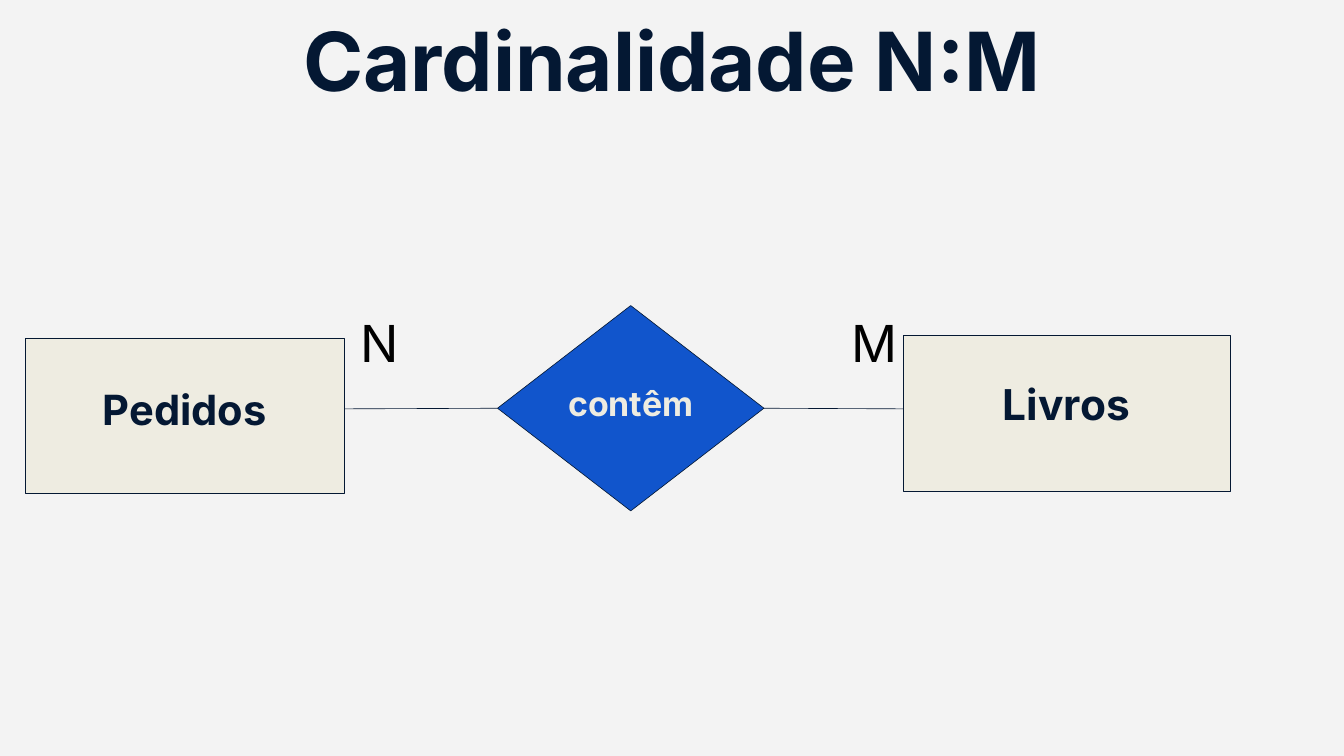
from lxml.etree import SubElement
from pptx import Presentation
from pptx.dml.color import RGBColor
from pptx.enum.shapes import MSO_CONNECTOR as Connector, MSO_SHAPE as Shape
from pptx.enum.text import MSO_AUTO_SIZE as AutoSize, PP_ALIGN as Align
from pptx.oxml.ns import qn
from pptx.util import Inches, Pt

NAVY, CREAM, BLUE, BLACK, GREY = "041833", "EEECE1", "1155CC", "000000", "F3F3F3"
WIDTH, HEIGHT = 21.99, 12.37
LEFT_SIDE, RIGHT_SIDE = 1, 3


def color(value):
    return RGBColor.from_string(value)


class Diagram:
    """Holds the style and the current slide."""
    font = "Inter"
    line_width = Pt(0.75)
    inset = Inches(0.1)

    def __init__(self, page):
        self.page = page
        page.background.fill.solid()
        page.background.fill.fore_color.rgb = color(GREY)

    def outline(self, item):
        item.line.color.rgb = color(NAVY)
        item.line.width = self.line_width

    def shape(self, kind, place, fill):
        item = self.page.shapes.add_shape(kind, *map(Inches, place))
        item.shadow.inherit = False
        item.fill.solid()
        item.fill.fore_color.rgb = color(fill)
        self.outline(item)
        return item

    def text(self, words, place, size, ink=NAVY, bold=True, align=Align.CENTER):
        box = self.page.shapes.add_textbox(*map(Inches, place))
        frame = box.text_frame
        settings = {"word_wrap": True, "auto_size": AutoSize.SHAPE_TO_FIT_TEXT}
        for side in ("left", "top", "right", "bottom"):
            settings[f"margin_{side}"] = self.inset
        for name, value in settings.items():
            setattr(frame, name, value)
        para = frame.paragraphs[0]
        para.alignment = align
        span = para.add_run()
        span.text = words
        for name, value in {"name": self.font, "size": Pt(size), "bold": bold}.items():
            setattr(span.font, name, value)
        span.font.color.rgb = color(ink)

    def connector(self, start, end):
        link = self.page.shapes.add_connector(
            Connector.STRAIGHT, *map(Inches, (*start, *end)))
        self.outline(link)
        SubElement(link._element.spPr, qn("a:effectLst"))
        return link


def main():
    deck = Presentation()
    deck.slide_width, deck.slide_height = Inches(WIDTH), Inches(HEIGHT)
    diagram = Diagram(deck.slides.add_slide(deck.slide_layouts[6]))

    # Entities
    diagram.shape(Shape.RECTANGLE, (0.41, 5.53, 5.23, 2.55), CREAM)
    diagram.text("Pedidos", (0.41, 6.18, 5.23, 1.03), 49)
    diagram.shape(Shape.RECTANGLE, (14.78, 5.49, 5.35, 2.55), CREAM)
    diagram.text("Livros", (14.51, 6.08, 5.88, 1.04), 50)

    # Relationship
    relation = diagram.shape(Shape.FLOWCHART_DECISION, (8.14, 5, 4.36, 3.36), BLUE)
    diagram.text("contêm", (8.64, 6.16, 3.36, 0.88), 40, CREAM)

    # Links, which meet the entities slightly above their middles
    orders_link = diagram.connector((5.64, 6.69), (8.14, 6.68))
    orders_link.end_connect(relation, LEFT_SIDE)
    books_link = diagram.connector((12.5, 6.68), (14.78, 6.69))
    books_link.begin_connect(relation, RIGHT_SIDE)

    # Title
    diagram.text("Cardinalidade N:M", (0, 0.07, WIDTH, 1.82), 96)

    # Cardinalities
    for letter, left in (("M", 13.84), ("N", 5.8)):
        diagram.text(letter, (left, 5, 0.86, 1.21), 60, BLACK, False, Align.LEFT)

    deck.save("out.pptx")


if __name__ == "__main__":
    main()
